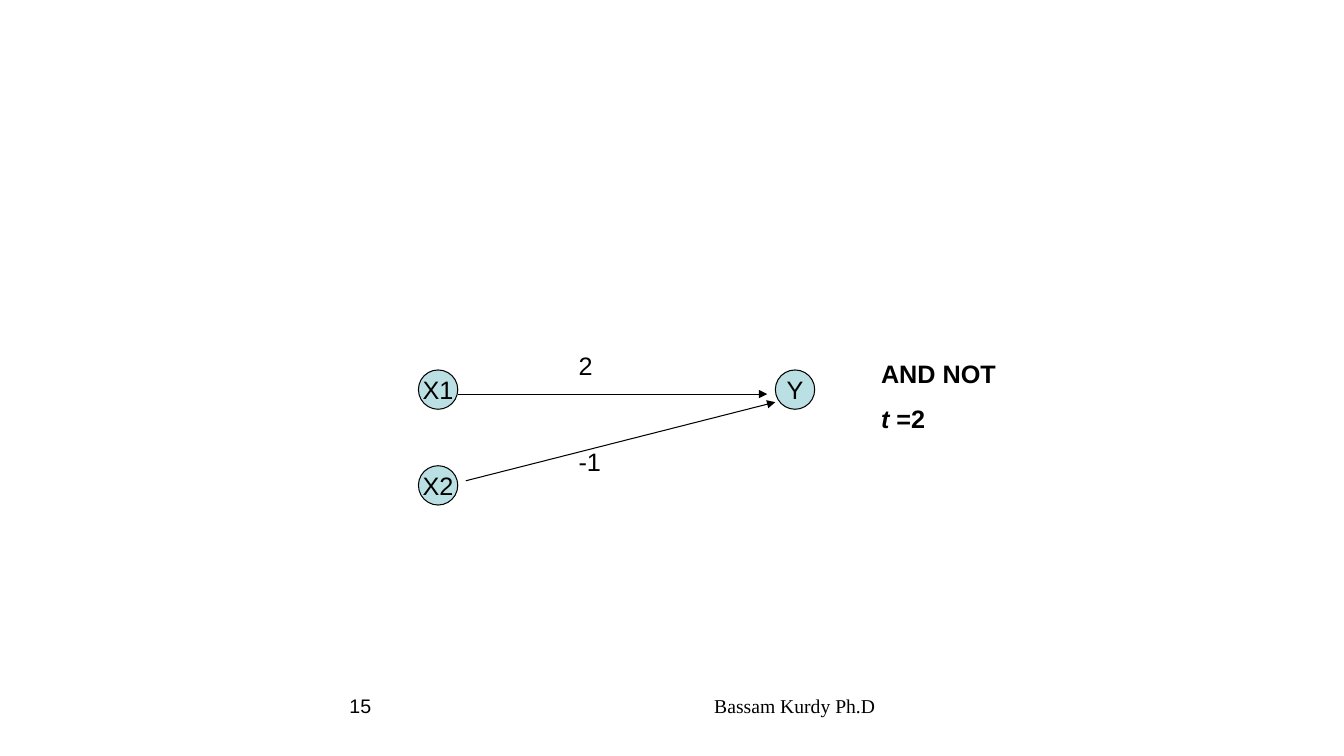
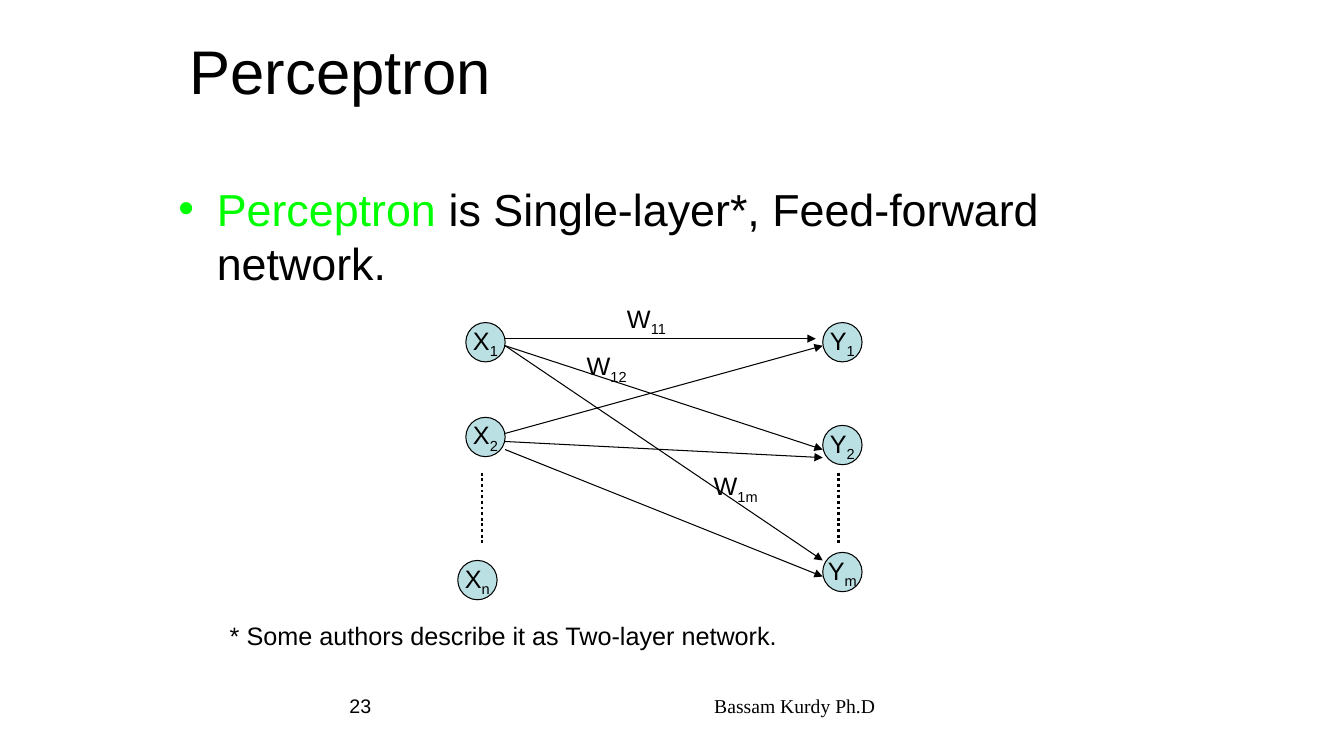
from dataclasses import dataclass

from lxml.etree import SubElement
from pptx import Presentation
from pptx.dml.color import RGBColor
from pptx.enum.dml import MSO_LINE_DASH_STYLE as Dash
from pptx.enum.shapes import MSO_CONNECTOR_TYPE as Connector
from pptx.enum.shapes import MSO_SHAPE as Preset
from pptx.enum.text import MSO_ANCHOR as Anchor
from pptx.enum.text import MSO_AUTO_SIZE as AutoSize
from pptx.enum.text import PP_ALIGN as Align
from pptx.oxml.ns import qn
from pptx.slide import Slide
from pptx.util import Inches, Pt

COLORS = {"text": "000000", "node": "BBE0E3", "highlight": "00FF00"}
SANS = "Arial"
SERIF = "Times New Roman"
NODE_SIZE = 0.39
LABEL_WIDTH = 1.02
LABEL_HEIGHT = 0.4
BLANK_LAYOUT = 6
CONTENT_LAYOUT = 1


@dataclass(frozen=True)
class TextRun:
    text: str
    subscript: bool = False
    bold: bool = False
    italic: bool = False
    color: str = "text"


@dataclass(frozen=True)
class Box:
    left: float
    top: float
    width: float
    height: float

    def lengths(self) -> tuple:
        return tuple(Inches(value) for value in (self.left, self.top, self.width, self.height))


@dataclass(frozen=True)
class Symbol:
    left: float
    top: float
    letter: str
    index: str = ""

    def runs(self) -> list[TextRun]:
        base = [TextRun(self.letter)]
        return base + [TextRun(self.index, subscript=True)] if self.index else base


@dataclass(frozen=True)
class Edge:
    start: tuple[float, float]
    end: tuple[float, float]


def rgb(name: str) -> RGBColor:
    return RGBColor.from_string(COLORS[name])


def add_runs(paragraph, runs: list[TextRun], size: float = 18, font: str = SANS) -> None:
    for item in runs:
        run = paragraph.add_run()
        run.text = item.text
        run.font.name = font
        run.font.size = Pt(size)
        run.font.bold = item.bold
        run.font.italic = item.italic
        run.font.color.rgb = rgb(item.color)
        if item.subscript:
            run._r.get_or_add_rPr().set("baseline", "-25000")


def add_text(slide: Slide, box: Box, paragraphs: list[list[TextRun]], size: float = 18,
             font: str = SANS, align: Align = Align.LEFT) -> None:
    frame = slide.shapes.add_textbox(*box.lengths()).text_frame
    frame.word_wrap = True
    for number, runs in enumerate(paragraphs):
        paragraph = frame.add_paragraph() if number else frame.paragraphs[0]
        paragraph.alignment = align
        if number:
            paragraph.space_before = Pt(10)
        add_runs(paragraph, runs, size, font)


def add_node(slide: Slide, node: Symbol) -> None:
    box = Box(node.left, node.top, NODE_SIZE, NODE_SIZE)
    shape = slide.shapes.add_shape(Preset.OVAL, *box.lengths())
    shape.shadow.inherit = False
    shape.fill.solid()
    shape.fill.fore_color.rgb = rgb("node")
    shape.line.color.rgb = rgb("text")
    shape.line.width = Pt(0.75)
    frame = shape.text_frame
    frame.word_wrap = False
    frame.vertical_anchor = Anchor.MIDDLE
    frame.paragraphs[0].alignment = Align.CENTER
    add_runs(frame.paragraphs[0], node.runs())


def add_label(slide: Slide, label: Symbol) -> None:
    add_text(slide, Box(label.left, label.top, LABEL_WIDTH, LABEL_HEIGHT), [label.runs()])


def add_line(slide: Slide, edge: Edge, width: float):
    points = [Inches(value) for value in (*edge.start, *edge.end)]
    connector = slide.shapes.add_connector(Connector.STRAIGHT, *points)
    connector.line.color.rgb = rgb("text")
    connector.line.width = Pt(width)
    SubElement(connector._element.spPr, qn("a:effectLst"))
    return connector


def add_arrow(slide: Slide, edge: Edge) -> None:
    connector = add_line(slide, edge, 0.75)
    SubElement(connector.line._get_or_add_ln(), qn("a:tailEnd"), type="triangle")


def add_dots(slide: Slide, edge: Edge) -> None:
    add_line(slide, edge, 2).line.dash_style = Dash.ROUND_DOT


def add_network(slide: Slide, nodes: list[Symbol], edges: list[Edge], labels: list[Symbol]) -> None:
    for node in nodes:
        add_node(slide, node)
    for edge in edges:
        add_arrow(slide, edge)
    for label in labels:
        add_label(slide, label)


def add_slide(presentation, layout: int, number: str) -> Slide:
    slide = presentation.slides.add_slide(presentation.slide_layouts[layout])
    add_text(slide, Box(4.56, 6.83, 4.22, 0.52), [[TextRun("Bassam Kurdy Ph.D")]],
             14, SERIF, Align.RIGHT)
    add_text(slide, Box(0.67, 6.83, 3.11, 0.52), [[TextRun(number)]], 14, SANS, Align.RIGHT)
    return slide


def fill_placeholder(shape, box: Box, runs: list[TextRun], size: float, bullet: str = "") -> None:
    shape.left, shape.top, shape.width, shape.height = box.lengths()
    frame = shape.text_frame
    frame.word_wrap = True
    frame.auto_size = AutoSize.NONE
    frame.vertical_anchor = Anchor.TOP
    paragraph = frame.paragraphs[0]
    paragraph.alignment = Align.LEFT
    paragraph.space_before = Pt(0)
    if bullet:
        properties = paragraph._p.get_or_add_pPr()
        properties.set("marL", str(Inches(0.38)))
        properties.set("indent", str(Inches(-0.38)))
        SubElement(properties, qn("a:buChar"), char=bullet)
    add_runs(paragraph, runs, size)


def build_and_not_slide(presentation) -> None:
    slide = add_slide(presentation, BLANK_LAYOUT, "15")
    nodes = [Symbol(4.15, 3.67, "X1"), Symbol(4.15, 4.62, "X2"), Symbol(7.69, 3.67, "Y")]
    edges = [Edge((4.54, 3.91), (7.61, 3.91)), Edge((4.62, 4.77), (7.69, 3.99))]
    labels = [Symbol(5.64, 3.43, "2"), Symbol(5.64, 4.38, "-1")]
    add_network(slide, nodes, edges, labels)
    add_text(slide, Box(8.64, 3.51, 1.89, 0.85), [
        [TextRun("AND NOT", bold=True)],
        [TextRun("t", bold=True, italic=True), TextRun(" =2", bold=True)],
    ])


def build_perceptron_slide(presentation) -> None:
    slide = add_slide(presentation, CONTENT_LAYOUT, "23")
    title, body = slide.placeholders
    fill_placeholder(title, Box(1.78, 0.28, 7.98, 1.25), [TextRun("Perceptron")], 44)
    fill_placeholder(body, Box(1.67, 1.75, 9, 4.95), [
        TextRun("Perceptron", color="highlight"),
        TextRun(" is Single-layer*, Feed-forward network."),
    ], 32, "•")
    nodes = [
        Symbol(4.62, 3.2, "X", "1"),
        Symbol(4.62, 4.14, "X", "2"),
        Symbol(4.54, 5.56, "X", "n"),
        Symbol(8.16, 3.2, "Y", "1"),
        Symbol(8.16, 4.22, "Y", "2"),
        Symbol(8.16, 5.48, "Y", "m"),
    ]
    input_right, output_left = 5.01, 8.16
    edges = [Edge((input_right, 3.36), (8.09, 3.36))]
    edges += [
        Edge((input_right, start), (output_left, end))
        for start, end in [(3.43, 4.46), (3.43, 5.56), (4.3, 3.43), (4.38, 4.54), (4.46, 5.72)]
    ]
    labels = [
        Symbol(6.12, 2.96, "W", "11"),
        Symbol(5.72, 3.43, "W", "12"),
        Symbol(6.98, 4.62, "W", "1m"),
    ]
    add_network(slide, nodes, edges, labels)
    for column in (4.78, 8.32):
        add_dots(slide, Edge((column, 4.69), (column, 5.4)))
    add_text(slide, Box(2.18, 6.11, 8.19, 0.4),
             [[TextRun("* Some authors describe it as Two-layer network.")]])


def main() -> None:
    presentation = Presentation()
    presentation.slide_width = Inches(13.33)
    presentation.slide_height = Inches(7.5)
    build_and_not_slide(presentation)
    build_perceptron_slide(presentation)
    presentation.save("out.pptx")


if __name__ == "__main__":
    main()
